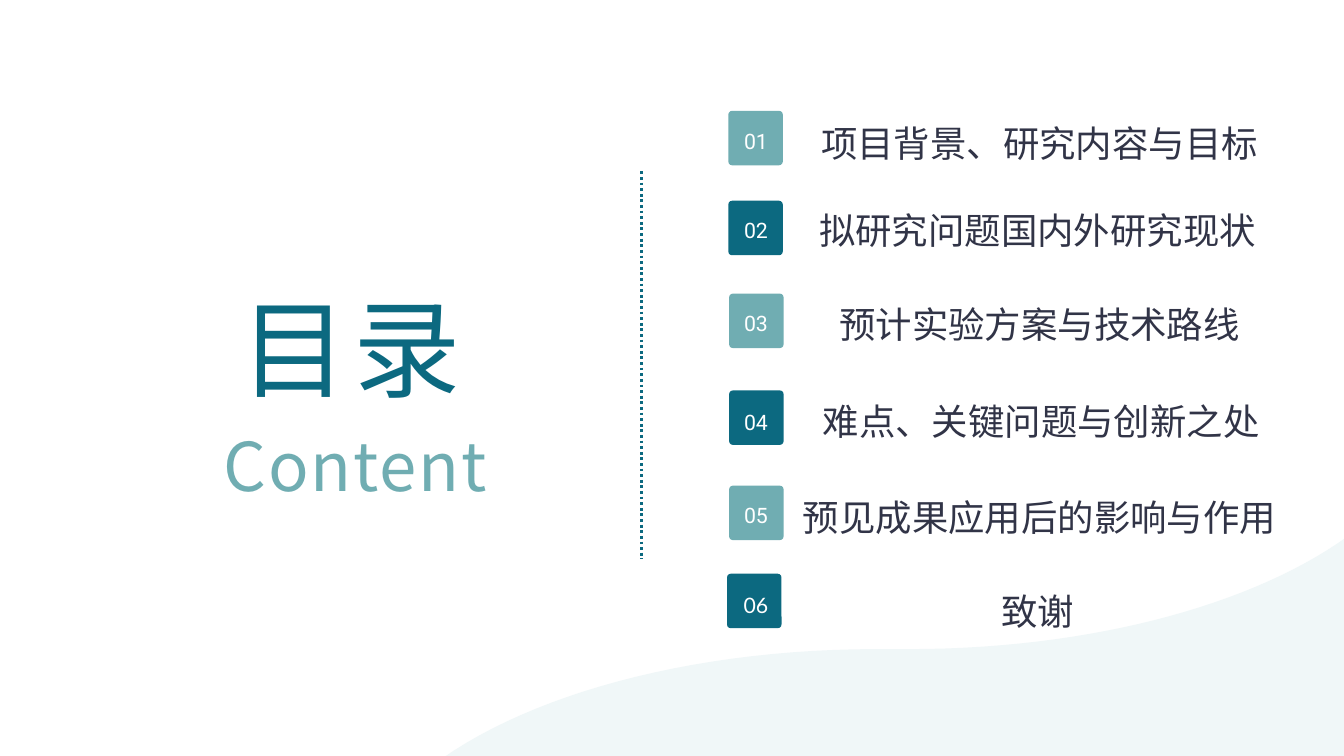
from dataclasses import dataclass

from lxml import etree
from pptx import Presentation
from pptx.dml.color import RGBColor
from pptx.enum.dml import MSO_LINE
from pptx.enum.shapes import MSO_CONNECTOR, MSO_SHAPE
from pptx.enum.text import MSO_ANCHOR, PP_ALIGN
from pptx.oxml.ns import qn
from pptx.util import Cm, Pt

ROUNDED = MSO_SHAPE.ROUNDED_RECTANGLE
STRAIGHT = MSO_CONNECTOR.STRAIGHT
DOTTED = MSO_LINE.ROUND_DOT
LEFT, CENTER = PP_ALIGN.LEFT, PP_ALIGN.CENTER
TOP = MSO_ANCHOR.TOP


@dataclass(frozen=True)
class TextStyle:
    size: float
    line_spacing: float
    color: str
    font: str
    align: int = LEFT
    letter_spacing: float = 0


@dataclass(frozen=True)
class Theme:
    dark: str = "0C6980"
    light: str = "70ADB2"
    wave: str = "F0F7F8"
    east_asian: str = "Noto Sans CJK SC"
    title: TextStyle = TextStyle(115, 107.5, "0C6980", "Arial", LEFT, 6.1)
    subtitle: TextStyle = TextStyle(72, 62.1, "70ADB2", "Noto Sans CJK SC", LEFT, 1.9)
    number: TextStyle = TextStyle(22.8, 31.9, "FFFFFF", "Roboto", CENTER)
    last_number: TextStyle = TextStyle(22.8, 31.9, "FFFFFF", "Lato", CENTER)
    label: TextStyle = TextStyle(39, 54.6, "313447", "Arial", CENTER)


THEME = Theme()
CHIP_SIZE = 2.06

# Agenda rows: chip left, chip top, number drop, label left, label drop, label
# (cm, lefts and tops from the list box, drops from the chip top)
AGENDA = [
    (0.05, 0.00, 0.51, 2.85, 0.10, "项目背景、研究内容与目标"),
    (0.05, 3.40, 0.46, 2.70, 0.00, "拟研究问题国内外研究现状"),
    (0.08, 6.91, 0.46, 2.85, 0.03, "预计实验方案与技术路线"),
    (0.08, 10.57, 0.56, 2.97, 0.07, "难点、关键问题与创新之处"),
    (0.08, 14.17, 0.46, 2.85, 0.08, "预见成果应用后的影响与作用"),
    (0.00, 17.50, 0.53, 2.70, 0.31, "致谢"),
]


def paint(shape, color):
    shape.shadow.inherit = False
    shape.fill.solid()
    shape.fill.fore_color.rgb = RGBColor.from_string(color)
    shape.line.fill.background()


def add_text(slide, left, top, width, height, text, style):
    box = slide.shapes.add_textbox(Cm(left), Cm(top), Cm(width), Cm(height))
    frame = box.text_frame
    frame.word_wrap = True
    frame.vertical_anchor = TOP
    frame.margin_left = frame.margin_right = frame.margin_top = frame.margin_bottom = 0
    paragraph = frame.paragraphs[0]
    paragraph.alignment = style.align
    paragraph.line_spacing = Pt(style.line_spacing)
    run = paragraph.add_run()
    run.text = text
    run.font.size = Pt(style.size)
    run.font.name = style.font
    run.font.color.rgb = RGBColor.from_string(style.color)
    properties = run.font._element
    etree.SubElement(properties, qn("a:ea")).set("typeface", THEME.east_asian)
    if style.letter_spacing:
        properties.set("spc", str(round(style.letter_spacing * 100)))


def curve_points(start, control_1, control_2, end, steps=40):
    """Points along a cubic curve, without its start."""
    points = []
    for step in range(1, steps + 1):
        t = step / steps
        weights = ((1 - t) ** 3, 3 * t * (1 - t) ** 2, 3 * t**2 * (1 - t), t**3)
        points.append(tuple(
            Cm(sum(weight * value for weight, value in zip(weights, axis)))
            for axis in zip(start, control_1, control_2, end)))
    return points


def add_wave(slide, left, top, width, height):
    def at(x, y):
        return left + x, top + y

    bottom_left = at(0, height)
    crest_start, crest_end = at(19.81, 7.95), at(21.01, 7.95)
    shoulder = at(40.41, 0.46)
    rise = curve_points(bottom_left, at(0, 12.14), at(8.86, 7.95), crest_start)
    swell = curve_points(crest_end, at(30.58, 7.95), at(38.56, 4.72), shoulder)
    corner_top, corner_bottom = at(width, 0), at(width, height)

    builder = slide.shapes.build_freeform(Cm(bottom_left[0]), Cm(bottom_left[1]))
    builder.add_line_segments(
        rise
        + [(Cm(crest_end[0]), Cm(crest_end[1]))]
        + swell
        + [(Cm(x), Cm(y)) for x, y in (corner_top, corner_bottom)])
    paint(builder.convert_to_shape(), THEME.wave)


def add_heading(slide, left, top):
    add_text(slide, left + 0.63, top, 15.44, 3.84, "目录", THEME.title)
    add_text(slide, left, top + 5.18, 25.3, 2.21, "Content", THEME.subtitle)


def add_divider(slide, x, top, height):
    line = slide.shapes.add_connector(STRAIGHT, Cm(x), Cm(top), Cm(x), Cm(top + height))
    line.line.color.rgb = RGBColor.from_string(THEME.dark)
    line.line.width = Pt(3)
    line.line.dash_style = DOTTED
    etree.SubElement(line._element.spPr, qn("a:effectLst"))


def add_agenda(slide, left, top, width):
    for index, row in enumerate(AGENDA):
        chip_left, chip_top, number_drop, label_left, label_drop, label = row
        row_top = top + chip_top
        chip = slide.shapes.add_shape(
            ROUNDED, Cm(left + chip_left), Cm(row_top), Cm(CHIP_SIZE), Cm(CHIP_SIZE))
        chip.adjustments[0] = 0.07
        paint(chip, THEME.dark if index % 2 else THEME.light)

        is_last = index == len(AGENDA) - 1
        add_text(slide, left + 0.23, row_top + number_drop, 1.73, 1.14,
                 f"{index + 1:02d}", THEME.last_number if is_last else THEME.number)
        add_text(slide, left + label_left, row_top + label_drop,
                 width - label_left, 1.8, label, THEME.label)


def main():
    presentation = Presentation()
    presentation.slide_width, presentation.slide_height = Cm(50.8), Cm(28.58)
    slide = presentation.slides.add_slide(presentation.slide_layouts[6])

    # Background wave
    add_wave(slide, 13.34, 16.59, 40.56, 17.32)
    # Heading on the left
    add_heading(slide, 8.46, 11.73)
    # Dotted divider
    add_divider(slide, 24.26, 6.48, 14.63)
    # Numbered list on the right
    add_agenda(slide, 27.48, 4.19, 20.78)

    presentation.save("out.pptx")


if __name__ == "__main__":
    main()
